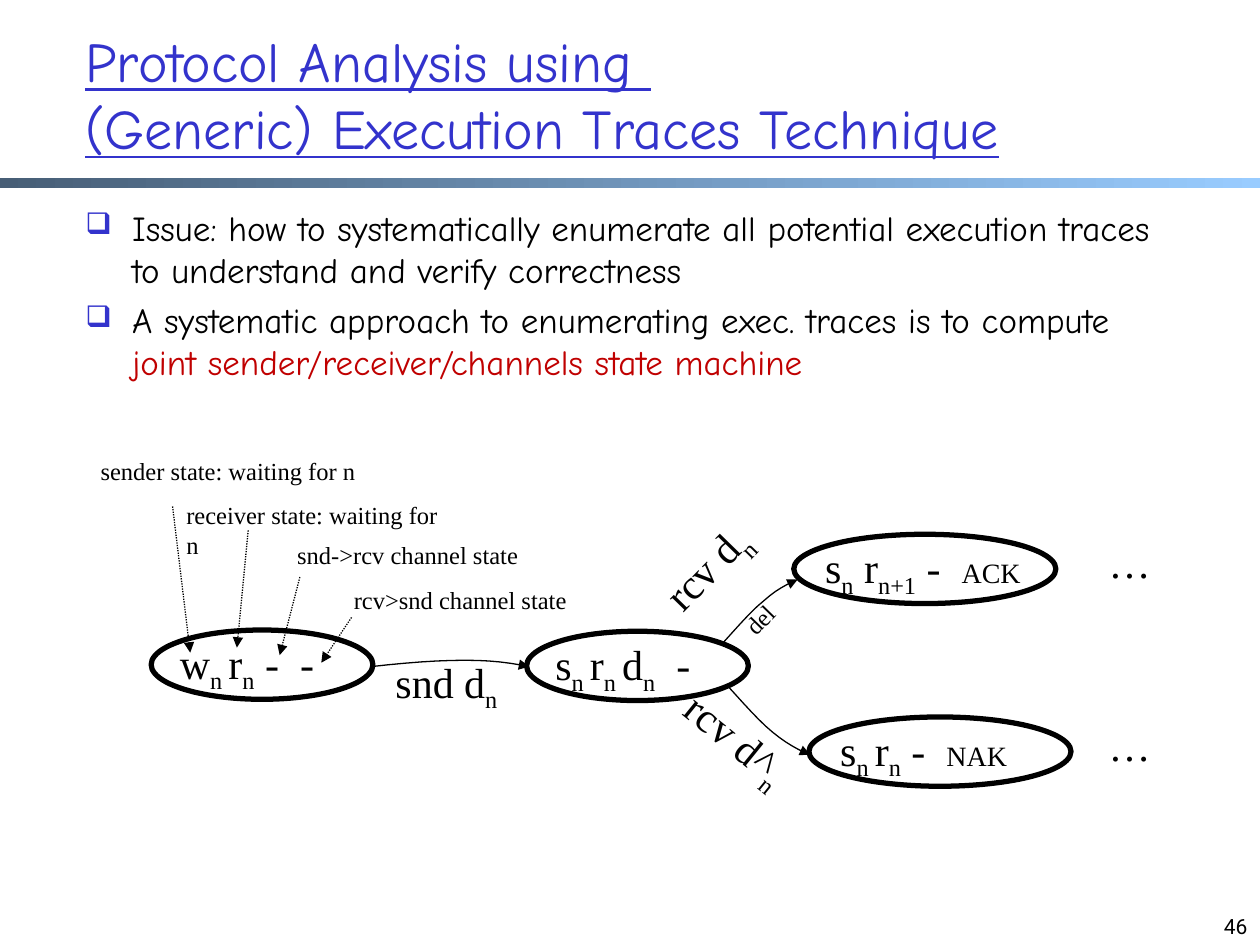
from dataclasses import dataclass

from pptx import Presentation
from pptx.dml.color import RGBColor
from pptx.enum.dml import MSO_LINE
from pptx.enum.shapes import MSO_CONNECTOR, MSO_SHAPE
from pptx.enum.text import MSO_ANCHOR, PP_ALIGN
from pptx.oxml.ns import qn
from pptx.util import Inches, Pt
from lxml.etree import SubElement


@dataclass(frozen=True)
class Theme:
    ink: str = "000000"
    blue: str = "3333CC"
    red: str = "C00000"
    dark: str = "475E76"
    light: str = "99CCFF"
    hand: str = "Comic Neue"
    serif: str = "Times New Roman"
    sans: str = "Roboto"
    title: int = 32
    body: int = 20
    state: int = 24
    reply: int = 16
    label: int = 14
    page: int = 12


T = Theme()


def color(code):
    return RGBColor.from_string(code)


def write(para, text, font=T.serif, size=T.state, ink=T.ink, under=False, sub=False):
    for i, line in enumerate(text.split("\n")):
        if i:
            para.add_line_break()
        if not line:
            continue
        run = para.add_run()
        run.text = line
        run.font.name = font
        run.font.size = Pt(size)
        run.font.color.rgb = color(ink)
        if under:
            run.font.underline = True
        if sub:
            run.font._element.set("baseline", "-25000")


def frame(shapes, x, y, w, h, anchor=MSO_ANCHOR.TOP, turn=0):
    box = shapes.add_textbox(Inches(x), Inches(y), Inches(w), Inches(h))
    box.rotation = turn
    box.text_frame.word_wrap = True
    box.text_frame.vertical_anchor = anchor
    return box.text_frame


def math(shapes, x, y, w, text, h=0.5, turn=0, align=PP_ALIGN.LEFT, reply=""):
    para = frame(shapes, x, y, w, h, turn=turn).paragraphs[0]
    para.alignment = align
    for i, part in enumerate(text.split("|")):
        write(para, part, sub=i % 2 == 1)
    write(para, reply, size=T.reply)


def arrow(line, width=0.75):
    line.color.rgb = color(T.ink)
    line.width = Pt(width)


def tip(shape):
    ln = shape.line._get_or_add_ln()
    SubElement(ln, qn("a:tailEnd"), type="triangle")


def dotted(shapes, x, y, start, end):
    ends = [Inches(v) for v in (x + start[0], y + start[1], x + end[0], y + end[1])]
    link = shapes.add_connector(MSO_CONNECTOR.STRAIGHT, *ends)
    arrow(link.line)
    link.line.dash_style = MSO_LINE.ROUND_DOT
    tip(link)
    SubElement(link._element.spPr, qn("a:effectLst"))


def bezier(a, b, c, d, steps=6):
    for k in range(1, steps + 1):
        t = k / steps
        u = 1 - t
        yield tuple(
            u**3 * p + 3 * u * u * t * q + 3 * u * t * t * r + t**3 * s
            for p, q, r, s in zip(a, b, c, d)
        )


def curve(shapes, x, y, knots):
    dots = [knots[0], *bezier(*knots[:4]), *bezier(*knots[3:])]
    spots = [(Inches(x + a), Inches(y + b)) for a, b in dots]
    pen = shapes.build_freeform(*spots[0])
    pen.add_line_segments(spots[1:], close=False)
    shape = pen.convert_to_shape()
    shape.fill.background()
    shape.shadow.inherit = False
    arrow(shape.line)
    tip(shape)


def node(shapes, x, y, w, text, reply="", pad=0.13):
    oval = shapes.add_shape(
        MSO_SHAPE.OVAL, Inches(x), Inches(y), Inches(w), Inches(0.55)
    )
    oval.fill.background()
    oval.shadow.inherit = False
    arrow(oval.line, 3)
    math(shapes, x + pad, y + 0.01, w, text, reply=reply)


def header(shapes, x, y, w, h):
    para = frame(shapes, x, y, w, h, MSO_ANCHOR.MIDDLE).paragraphs[0]
    text = "Protocol Analysis using \n(Generic) Execution Traces Technique"
    write(para, text, font=T.hand, size=T.title, ink=T.blue, under=True)


def band(shapes, x, y, w, h):
    bar = shapes.add_shape(
        MSO_SHAPE.RECTANGLE, Inches(x), Inches(y), Inches(w), Inches(h)
    )
    bar.shadow.inherit = False
    bar.line.fill.background()
    bar.fill.gradient()
    bar.fill.gradient_angle = 0
    for stop, code in zip(bar.fill.gradient_stops, (T.dark, T.light)):
        stop.color.rgb = color(code)


def bullets(shapes, x, y, w, h):
    items = [
        ("Issue: how to systematically enumerate all potential execution traces "
         "to understand and verify correctness", ""),
        ("A systematic approach to enumerating exec. traces is to compute ",
         "joint sender/receiver/channels state machine"),
    ]
    body = frame(shapes, x, y, w, h)
    for i, (plain, accent) in enumerate(items):
        para = body.add_paragraph() if i else body.paragraphs[0]
        para.space_before = Pt(4.8 if i else 0)
        props = para._p.get_or_add_pPr()
        props.set("marL", str(Inches(0.37)))
        props.set("indent", str(-Inches(0.37)))
        SubElement(SubElement(props, qn("a:buClr")), qn("a:srgbClr"), val=T.blue)
        SubElement(props, qn("a:buSzPct"), val="85000")
        SubElement(props, qn("a:buChar"), char="❑")
        write(para, plain, font=T.hand, size=T.body)
        write(para, accent, font=T.hand, size=T.body, ink=T.red)


def legend(shapes, x, y):
    rows = [
        (0, 0, 2.3, "sender state: waiting for n", (0.67, 0.45), (0.81, 1.61)),
        (0.68, 0.35, 2.25, "receiver state: waiting for n", (1.27, 0.64), (1.18, 1.57)),
        (1.56, 0.67, 2.1, "snd->rcv channel state", (1.68, 1.01), (1.52, 1.63)),
        (2.01, 1.02, 2, "rcv>snd channel state", (2.09, 1.33), (1.85, 1.69)),
    ]
    for dx, dy, w, text, start, end in rows:
        para = frame(shapes, x + dx, y + dy, w, 0.34).paragraphs[0]
        write(para, text, size=T.label)
        dotted(shapes, x, y, start, end)


def machine(shapes, x, y):
    node(shapes, x + 0.5, y + 1.43, 1.76, "w|n |r|n| -  -")
    node(shapes, x + 3.48, y + 1.44, 1.76, "s|n |r|n |d|n|  -")
    node(shapes, x + 5.6, y + 0.67, 2.08, "s|n| r|n+1| -  ", "ACK", 0.15)
    node(shapes, x + 5.72, y + 2.12, 2.08, "s|n |r|n| -  ", "NAK", 0.15)
    for dy in (0.64, 2.09):
        math(shapes, x + 8, y + dy, 0.54, "…")
    math(shapes, x + 2.34, y + 1.59, 1.1, "snd d|n")
    math(shapes, x + 4.45, y + 0.64, 1.1, "rcv d|n\ndel", 0.77, -45.7, PP_ALIGN.CENTER)
    math(shapes, x + 4.59, y + 2.05, 1.15, "rcv d^|n", turn=39)
    curves = [
        [(2.25, 1.72), (2.51, 1.69), (2.78, 1.67), (2.99, 1.67),
         (3.2, 1.67), (3.35, 1.69), (3.5, 1.72)],
        [(5.04, 1.53), (5.15, 1.41), (5.26, 1.28), (5.36, 1.2),
         (5.46, 1.11), (5.54, 1.07), (5.63, 1.03)],
        [(5.08, 1.88), (5.2, 2.01), (5.32, 2.15), (5.43, 2.24),
         (5.54, 2.33), (5.63, 2.38), (5.73, 2.42)],
    ]
    for knots in curves:
        curve(shapes, x, y, knots)


def footer(shapes, x, y, w, h):
    para = frame(shapes, x, y, w, h, MSO_ANCHOR.BOTTOM).paragraphs[0]
    para.alignment = PP_ALIGN.RIGHT
    write(para, "46", font=T.sans, size=T.page)


def main():
    deck = Presentation()
    deck.slide_width, deck.slide_height = Inches(10), Inches(7.5)
    shapes = deck.slides.add_slide(deck.slide_layouts[6]).shapes
    band(shapes, 0, 1.41, 10, 0.08)
    header(shapes, 0.58, 0.12, 8.77, 1.25)
    bullets(shapes, 0.58, 1.59, 8.83, 5.23)
    group = shapes.add_group_shape().shapes
    machine(group, 0.7, 3.57)
    legend(group, 0.7, 3.57)
    footer(shapes, 7.67, 7, 2.33, 0.5)
    deck.save("out.pptx")


if __name__ == "__main__":
    main()
